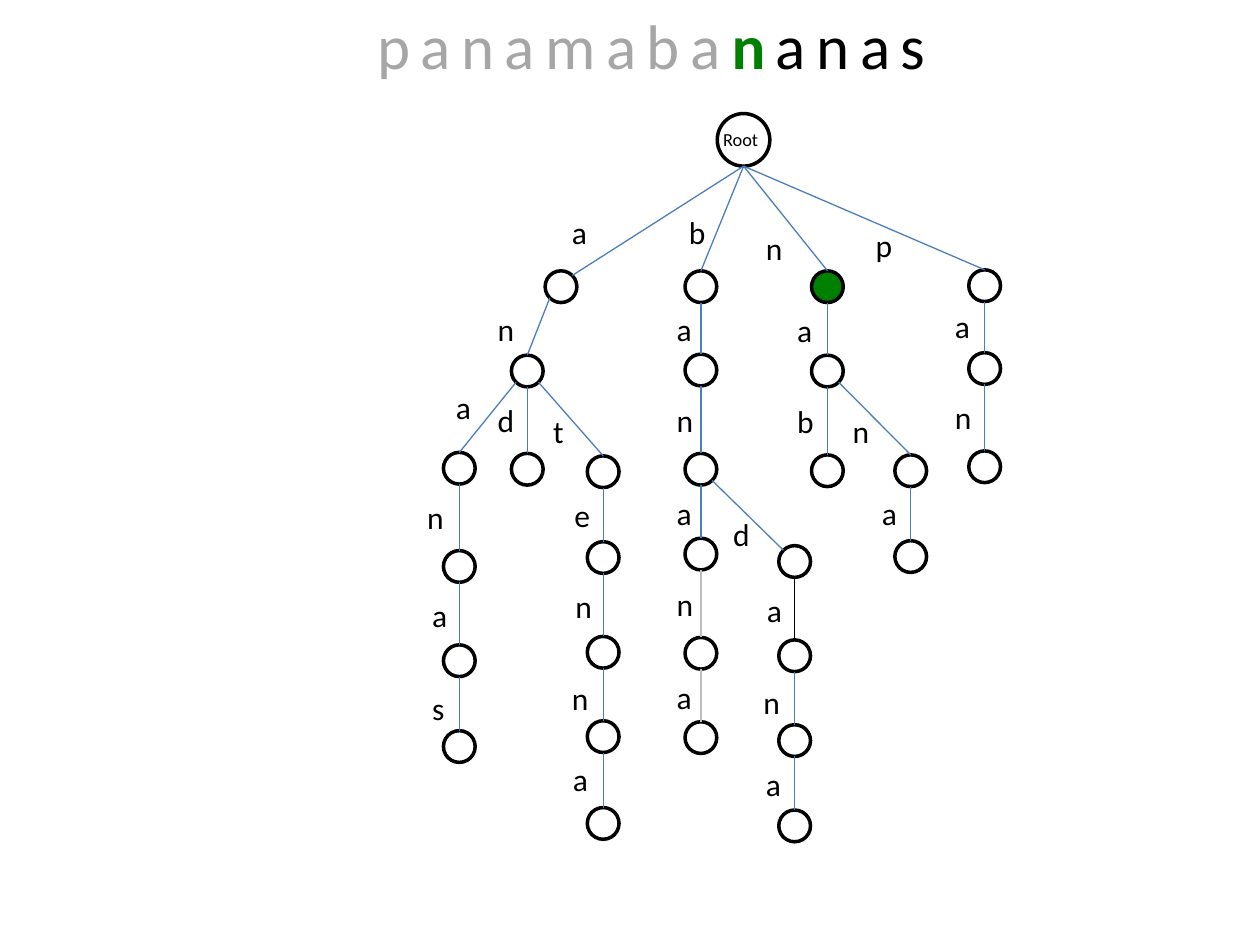
from dataclasses import dataclass
from math import sqrt

from lxml import etree
from pptx import Presentation
from pptx.dml.color import RGBColor
from pptx.enum.shapes import MSO_CONNECTOR, MSO_SHAPE
from pptx.enum.text import MSO_ANCHOR, MSO_AUTO_SIZE, PP_ALIGN
from pptx.oxml.ns import qn
from pptx.util import Cm, Pt

OVAL = MSO_SHAPE.OVAL
LINE = MSO_CONNECTOR.STRAIGHT
TOP = MSO_ANCHOR.TOP
MID = PP_ALIGN.CENTER
FIXED = MSO_AUTO_SIZE.NONE


@dataclass(frozen=True)
class Theme:
    """Colours, font and type sizes of the slide."""
    font: str = "Calibri"
    ink: str = "000000"
    paper: str = "FFFFFF"
    done: str = "A6A6A6"
    hit: str = "008000"
    edge: str = "4B7EBC"
    pale: str = "BFBFBF"
    title: float = 36
    label: float = 18
    root: float = 10.5
    track: int = 600
    ring: float = 2
    thin: float = 0.75


THEME = Theme()
ROOT = (6.99, 0.82, 0.53)
RADIUS = 0.32

# Each prefix: node centre x, y, then label left, top.
NODES = {
    "a": (3.31, 3.78, 3.28, 2.17),
    "an": (2.63, 5.48, 1.78, 4.12),
    "ana": (1.26, 7.44, 0.94, 5.7),
    "anan": (1.26, 9.42, 0.36, 7.91),
    "anana": (1.26, 11.32, 0.46, 9.89),
    "ananas": (1.26, 13.05, 0.46, 11.77),
    "and": (2.63, 7.46, 1.78, 5.95),
    "ant": (4.16, 7.51, 2.9, 6.18),
    "ante": (4.16, 9.24, 3.33, 7.88),
    "anten": (4.16, 11.15, 3.35, 9.71),
    "antenn": (4.16, 12.85, 3.28, 11.56),
    "antenna": (4.16, 14.6, 3.3, 13.19),
    "b": (6.13, 3.78, 5.64, 2.17),
    "ba": (6.13, 5.46, 5.39, 4.12),
    "ban": (6.13, 7.46, 5.39, 5.95),
    "bana": (6.13, 9.17, 5.39, 7.83),
    "banan": (6.13, 11.17, 5.39, 9.66),
    "banana": (6.13, 12.87, 5.39, 11.54),
    "band": (8.02, 9.32, 6.53, 8.26),
    "banda": (8.02, 11.22, 7.21, 9.79),
    "bandan": (8.02, 12.93, 7.14, 11.64),
    "bandana": (8.02, 14.65, 7.19, 13.29),
    "n": (8.68, 3.78, 7.19, 2.5),
    "na": (8.68, 5.48, 7.82, 4.15),
    "nab": (8.68, 7.49, 7.82, 5.98),
    "nan": (10.36, 7.49, 8.94, 6.18),
    "nana": (10.36, 9.22, 9.53, 7.83),
    "p": (11.85, 3.76, 9.4, 2.44),
    "pa": (11.85, 5.43, 11, 4.07),
    "pan": (11.85, 7.41, 11, 5.9),
}
TINTS = {"banan": THEME.pale, "banana": THEME.pale, "banda": THEME.ink}
SIDES = {"a": 1, "band": -1}


def paint(font, size, tint, bold=False):
    """Format one run's font."""
    font.name, font.size, font.bold = THEME.font, Pt(size), bold
    font.color.rgb = RGBColor.from_string(tint)


def head(slide, box):
    """Set the text being read, with its current letter marked."""
    left, top, width, height = map(Cm, box)
    shape = slide.shapes.title
    shape.left, shape.top, shape.width, shape.height = left, top, width, height
    frame = shape.text_frame
    frame.auto_size, frame.vertical_anchor = FIXED, TOP
    para = frame.paragraphs[0]
    para.alignment = MID
    for text, tint in (("panamaba", THEME.done), ("n", THEME.hit), ("anas", THEME.ink)):
        run = para.add_run()
        run.text = text
        paint(run.font, THEME.title, tint, tint == THEME.hit)
        run._r.get_or_add_rPr().set("spc", str(THEME.track))


def ring(slide, x, y, radius, tint):
    """Draw a node about its centre."""
    shape = slide.shapes.add_shape(
        OVAL, Cm(x - radius), Cm(y - radius), Cm(2 * radius), Cm(2 * radius))
    shape.shadow.inherit = False
    shape.fill.solid()
    shape.fill.fore_color.rgb = RGBColor.from_string(tint)
    shape.line.color.rgb = RGBColor.from_string(THEME.ink)
    shape.line.width = Pt(THEME.ring)


def label(slide, text, x, y, width, height, size):
    """Place a short text on one line."""
    frame = slide.shapes.add_textbox(Cm(x), Cm(y), Cm(width), Cm(height)).text_frame
    frame.word_wrap = False
    frame.text = text
    paint(frame.paragraphs[0].runs[0].font, size, THEME.ink)


def edge(slide, start, end, tint):
    """Draw a thin line between two points."""
    line = slide.shapes.add_connector(LINE, *map(Cm, start + end))
    line.line.color.rgb = RGBColor.from_string(tint)
    line.line.width = Pt(THEME.thin)
    etree.SubElement(line._element.spPr, qn("a:effectLst"))


def rim(x, y, radius, side, down):
    """Find the rim point at the top or bottom, or on a diagonal."""
    step = radius / sqrt(2) if side else radius
    return x + side * step, y + down * step


def tree(slide, box):
    """Draw the trie, linking each prefix to its parent."""
    left, top = box
    rootx, rooty, size = left + ROOT[0], top + ROOT[1], ROOT[2]
    ring(slide, rootx, rooty, size, THEME.paper)
    label(slide, "Root", rootx - 0.66, rooty - 0.36, 1.4, 0.71, THEME.root)
    spots = {"": (rootx, rooty)}
    for word, (x, y, tagx, tagy) in NODES.items():
        spots[word] = x, y = left + x, top + y
        ring(slide, x, y, RADIUS, THEME.hit if word == "n" else THEME.paper)
        base = spots[word[:-1]]
        if len(word) == 1:
            start = rim(*base, size, 0, 1)
        else:
            start = rim(*base, RADIUS, (x > base[0]) - (x < base[0]), 1)
        end = rim(x, y, RADIUS, SIDES.get(word, 0), -1)
        edge(slide, start, end, TINTS.get(word, THEME.edge))
        label(slide, word[-1], left + tagx, top + tagy, 0.85, 1.02, THEME.label)


def main():
    """Build and save the slide."""
    deck = Presentation()
    deck.slide_width, deck.slide_height = Cm(25.4), Cm(19.05)
    slide = deck.slides.add_slide(deck.slide_layouts[5])
    head(slide, (6.78, 0, 12.7, 1.8))
    tree(slide, (8, 2))
    deck.save("out.pptx")


if __name__ == "__main__":
    main()
